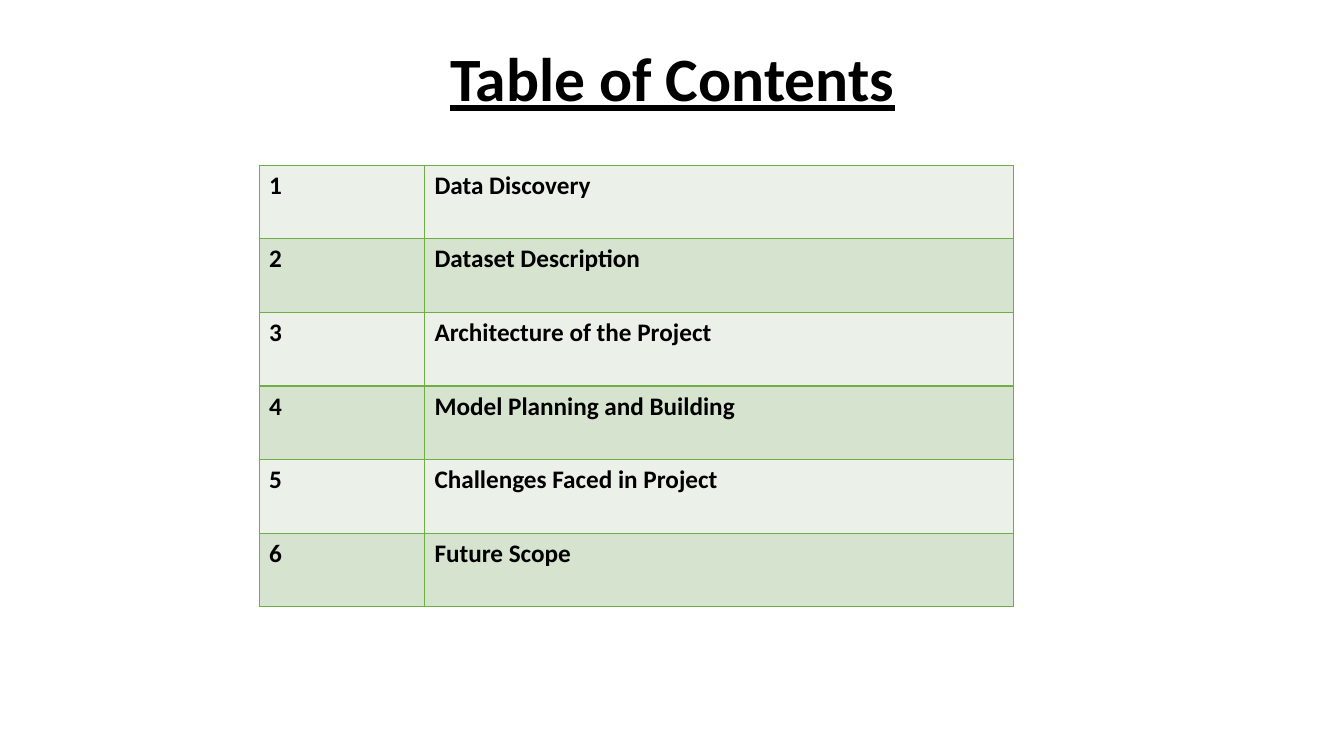
import pptx
import pptx.util
import pptx.dml.color
import pptx.enum.text
import pptx.oxml
import lxml.etree

Inches = pptx.util.Inches
RGBColor = pptx.dml.color.RGBColor
ALIGN = pptx.enum.text.PP_ALIGN
ANCHOR = pptx.enum.text.MSO_ANCHOR

BLACK = RGBColor(0x00, 0x00, 0x00)
BORDER_GREEN = RGBColor(0x70, 0xAD, 0x47)
BANDS = [RGBColor(0xEB, 0xF1, 0xE9), RGBColor(0xD5, 0xE3, 0xCF)]

TITLE = "Table of Contents"
TOPICS = [
    "Data Discovery",
    "Dataset Description",
    "Architecture of the Project",
    "Model Planning and Building",
    "Challenges Faced in Project",
    "Future Scope",
]
TITLE_BOX = (0.92, -0.23, 11.5, 2.08)
TABLE_LEFT, TABLE_TOP = 2.57, 1.64
COLUMN_WIDTHS = [1.64, 5.84]
ROW_HEIGHT = 0.73

BASE_FONT = {"name": "Calibri", "bold": True}
TITLE_FONT = {**BASE_FONT, "size": pptx.util.Pt(44), "underline": True}
CELL_FONT = {**BASE_FONT, "size": pptx.util.Pt(18)}
TITLE_PARAGRAPH = {"alignment": ALIGN.CENTER, "line_spacing": 0.9}
CELL_PARAGRAPH = {"alignment": ALIGN.JUSTIFY}


def set_attributes(target, values):
    for name, value in values.items():
        setattr(target, name, value)


def write_text(text_frame, text, paragraph_format, font_format):
    paragraph = text_frame.paragraphs[0]
    set_attributes(paragraph, paragraph_format)
    run = paragraph.add_run()
    run.text = text
    set_attributes(run.font, font_format)
    run.font.color.rgb = BLACK


def add_borders(cell):
    properties = cell._tc.get_or_add_tcPr()
    for position, side in enumerate(("lnL", "lnR", "lnT", "lnB")):
        border = pptx.oxml.parse_xml(
            f'<a:{side} xmlns:a="http://schemas.openxmlformats.org/drawingml/2006/main" '
            f'w="{pptx.util.Pt(1)}"><a:solidFill><a:srgbClr val="{BORDER_GREEN}"/>'
            f'</a:solidFill></a:{side}>'
        )
        properties.insert(position, border)


def add_title(slide):
    title = slide.shapes.title
    box = map(Inches, TITLE_BOX)
    set_attributes(title, dict(zip(("left", "top", "width", "height"), box)))
    title.text_frame.vertical_anchor = ANCHOR.MIDDLE
    write_text(title.text_frame, TITLE, TITLE_PARAGRAPH, TITLE_FONT)


def add_contents_table(slide):
    table = slide.shapes.add_table(
        len(TOPICS), len(COLUMN_WIDTHS),
        Inches(TABLE_LEFT), Inches(TABLE_TOP),
        Inches(sum(COLUMN_WIDTHS)), Inches(ROW_HEIGHT * len(TOPICS)),
    ).table
    table.first_row = False
    for column, width in zip(table.columns, COLUMN_WIDTHS):
        column.width = Inches(width)
    for index, topic in enumerate(TOPICS):
        table.rows[index].height = Inches(ROW_HEIGHT)
        for cell, text in zip(table.rows[index].cells, (str(index + 1), topic)):
            write_text(cell.text_frame, text, CELL_PARAGRAPH, CELL_FONT)
            cell.fill.solid()
            cell.fill.fore_color.rgb = BANDS[index % len(BANDS)]
            add_borders(cell)


def main():
    presentation = pptx.Presentation()
    presentation.slide_width = Inches(13.33)
    presentation.slide_height = Inches(7.5)
    slide = presentation.slides.add_slide(presentation.slide_layouts[5])
    add_title(slide)
    add_contents_table(slide)
    presentation.save("out.pptx")


if __name__ == "__main__":
    main()
